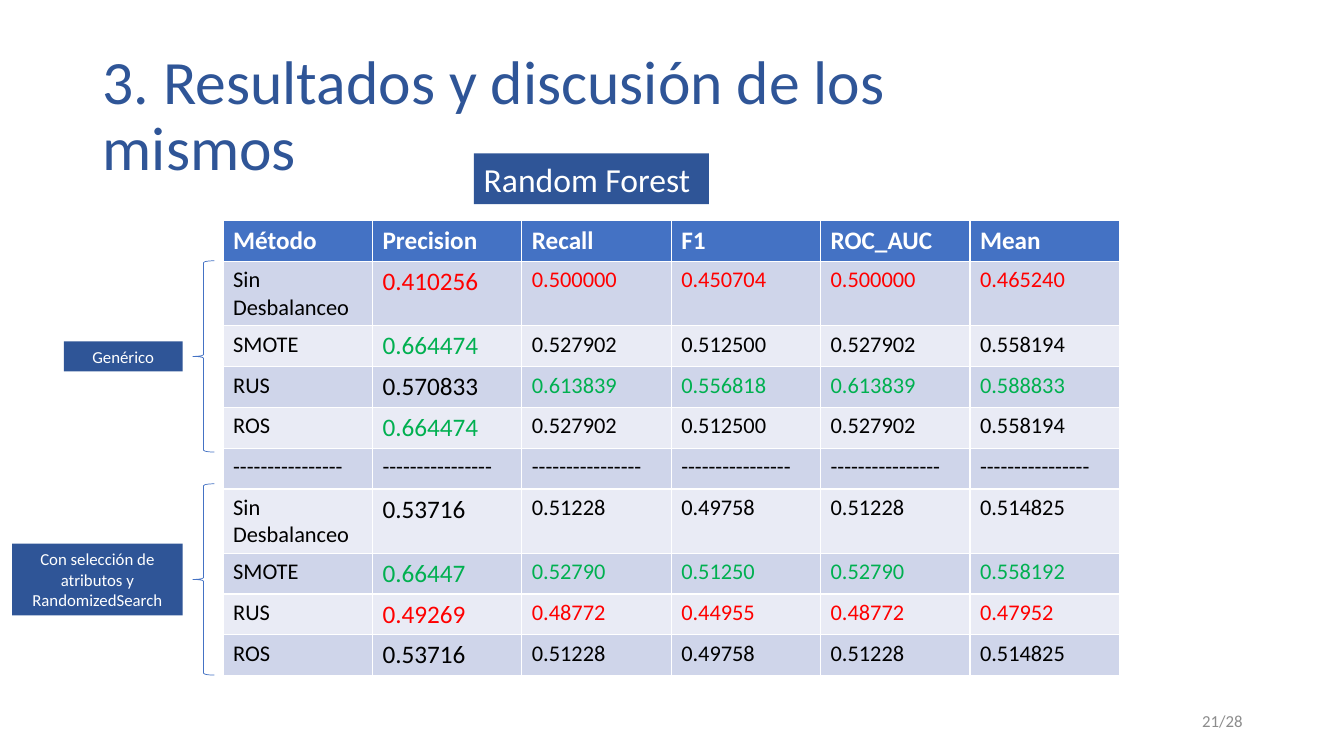
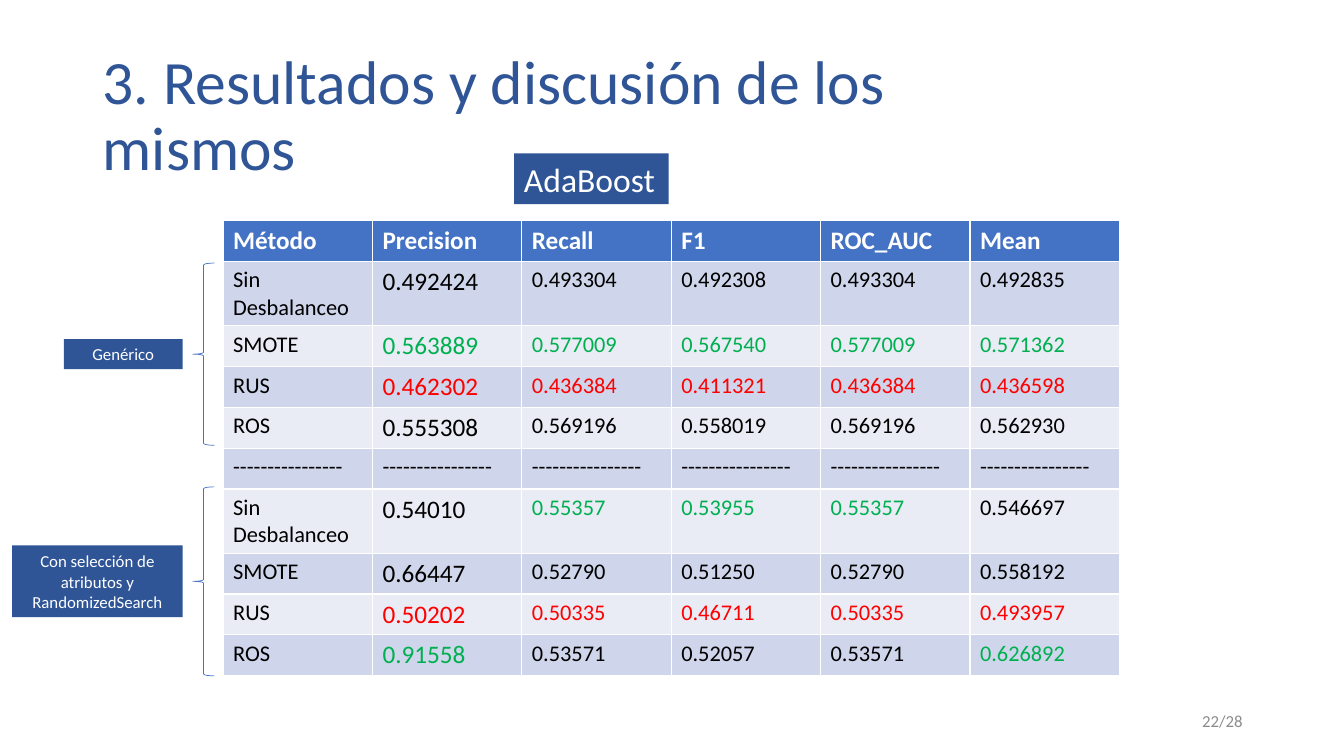
"""Builds two slides that compare classifier metrics under several resampling methods."""
from pptx import Presentation
from pptx.dml.color import RGBColor
from pptx.enum.shapes import MSO_SHAPE
from pptx.enum.text import MSO_ANCHOR, MSO_AUTO_SIZE, PP_ALIGN
from pptx.util import Inches, Pt

HEADINGS = ("Método", "Precision", "Recall", "F1", "ROC_AUC", "Mean")
DASHES = "-" * 16
SEPARATOR = (DASHES, " ".join([DASHES] * 5), "nnnnn")
MARKS = {"n": "000000", "r": "FF0000", "g": "00B050"}
GROUPS = (("Genérico", 8.85, 4), ("Con selección de atributos y RandomizedSearch", 12.7, 9.5))

RESULTS = (
    {
        "model": "Random Forest", "width": 17.5, "number": "21/28",
        "braces": ((34.5, 25.3), (64, 25.3)),
        "rows": (
            ("Sin Desbalanceo", "0.410256 0.500000 0.450704 0.500000 0.465240", "rrrrr"),
            ("SMOTE", "0.664474 0.527902 0.512500 0.527902 0.558194", "gnnnn"),
            ("RUS", "0.570833 0.613839 0.556818 0.613839 0.588833", "ngggg"),
            ("ROS", "0.664474 0.527902 0.512500 0.527902 0.558194", "gnnnn"),
            SEPARATOR,
            ("Sin Desbalanceo", "0.53716 0.51228 0.49758 0.51228 0.514825", "nnnnn"),
            ("SMOTE", "0.66447 0.52790 0.51250 0.52790 0.558192", "ggggg"),
            ("RUS", "0.49269 0.48772 0.44955 0.48772 0.47952", "rrrrr"),
            ("ROS", "0.53716 0.51228 0.49758 0.51228 0.514825", "nnnnn"),
        ),
    },
    {
        "model": "AdaBoost", "width": 11.5, "number": "22/28",
        "braces": ((34.8, 24.1), (64.4, 25)),
        "rows": (
            ("Sin Desbalanceo", "0.492424 0.493304 0.492308 0.493304 0.492835", "nnnnn"),
            ("SMOTE", "0.563889 0.577009 0.567540 0.577009 0.571362", "ggggg"),
            ("RUS", "0.462302 0.436384 0.411321 0.436384 0.436598", "rrrrr"),
            ("ROS", "0.555308 0.569196 0.558019 0.569196 0.562930", "nnnnn"),
            SEPARATOR,
            ("Sin Desbalanceo", "0.54010 0.55357 0.53955 0.55357 0.546697", "ngggn"),
            ("SMOTE", "0.66447 0.52790 0.51250 0.52790 0.558192", "nnnnn"),
            ("RUS", "0.50202 0.50335 0.46711 0.50335 0.493957", "rrrrr"),
            ("ROS", "0.91558 0.53571 0.52057 0.53571 0.626892", "gnnng"),
        ),
    },
)


def color(value):
    """Turn a hex string into a colour."""
    return RGBColor.from_string(value)


class ResultDeck:
    """Hold the style and current slide; lengths are percentages of the slide."""

    font = "Calibri"
    dark = "2F5597"
    accent = "4472C4"
    bands = ("E9EBF5", "CFD5EA")

    def __init__(self):
        """Start an empty widescreen presentation."""
        self.presentation = Presentation()
        self.presentation.slide_width = Inches(13.33)
        self.presentation.slide_height = Inches(7.5)
        self.slide = None

    def across(self, share):
        """Return a share of the slide width."""
        return int(self.presentation.slide_width * share / 100)

    def down(self, share):
        """Return a share of the slide height."""
        return int(self.presentation.slide_height * share / 100)

    def box(self, left, top, width, height):
        """Return a rectangle in slide units."""
        return self.across(left), self.down(top), self.across(width), self.down(height)

    def set_text(self, frame, text, size, fill, align=PP_ALIGN.LEFT, bold=False):
        """Put one formatted paragraph into a text frame and return it."""
        frame.text = text
        frame.word_wrap = True
        paragraph = frame.paragraphs[0]
        paragraph.alignment = align
        for run in paragraph.runs:
            run.font.name = self.font
            run.font.size = Pt(size)
            run.font.bold = bold
            run.font.color.rgb = color(fill)
        return paragraph

    def start(self, title):
        """Add a slide with its title."""
        self.slide = self.presentation.slides.add_slide(self.presentation.slide_layouts[5])
        shape = self.slide.shapes.title
        shape.left, shape.top, shape.width, shape.height = self.box(6.9, 5.3, 74.3, 20.5)
        frame = shape.text_frame
        frame.vertical_anchor = MSO_ANCHOR.MIDDLE
        frame.auto_size = MSO_AUTO_SIZE.NONE
        self.set_text(frame, title, 44, self.dark).line_spacing = 0.9

    def number(self, text):
        """Add the page number."""
        frame = self.slide.shapes.add_textbox(*self.box(70.7, 92.7, 22.5, 5.3)).text_frame
        frame.vertical_anchor = MSO_ANCHOR.MIDDLE
        self.set_text(frame, text, 12, "8C8C8C", PP_ALIGN.RIGHT)

    def label(self, text, left, top, width, height, size, align=PP_ALIGN.CENTER):
        """Add a dark filled label."""
        shape = self.slide.shapes.add_shape(MSO_SHAPE.RECTANGLE, *self.box(left, top, width, height))
        shape.shadow.inherit = False
        shape.fill.solid()
        shape.fill.fore_color.rgb = color(self.dark)
        shape.line.fill.background()
        self.set_text(shape.text_frame, text, size, "FFFFFF", align)

    def group(self, text, width, height, brace_top, brace_height):
        """Add a brace beside the table with its label centred on it."""
        shape = self.slide.shapes.add_shape(
            MSO_SHAPE.LEFT_BRACE, *self.box(14.35, brace_top, 1.6, brace_height))
        shape.shadow.inherit = False
        shape.fill.background()
        shape.line.color.rgb = color(self.accent)
        shape.line.width = Pt(0.5)
        self.label(text, 13.6 - width, brace_top + (brace_height - height) / 2, width, height, 12)

    def cell(self, cell, text, size, fill, background, bold=False):
        """Fill one table cell and set its text."""
        cell.fill.solid()
        cell.fill.fore_color.rgb = color(background)
        self.set_text(cell.text_frame, text, size, fill, bold=bold)

    def table(self, rows):
        """Add the metrics table, with taller rows for two-line names."""
        left, top, width, height = self.box(16.6, 29.2, 66.7, 60.2)
        table = self.slide.shapes.add_table(
            len(rows) + 1, len(HEADINGS), left, top, width, height).table
        for column in table.columns:
            column.width = width // len(HEADINGS)
        tall = self.down(8.5)
        names = [HEADINGS[0]] + [name for name, values, marks in rows]
        tall_count = sum(" " in name for name in names)
        short = (height - tall * tall_count) // (len(names) - tall_count)
        for row, name in zip(table.rows, names):
            row.height = tall if " " in name else short
        for index, heading in enumerate(HEADINGS):
            self.cell(table.cell(0, index), heading, 18, "FFFFFF", self.accent, True)
        for row_index, (name, values, marks) in enumerate(rows, 1):
            background = self.bands[row_index % 2]
            texts = [name] + values.split()
            for index, (text, mark) in enumerate(zip(texts, "n" + marks)):
                size = 18 if index == 1 and text != DASHES else 16
                self.cell(table.cell(row_index, index), text, size, MARKS[mark], background)


def main():
    """Build and save the slides."""
    deck = ResultDeck()
    for result in RESULTS:
        deck.start("3. Resultados y discusión de los mismos")
        deck.number(result["number"])
        deck.table(result["rows"])
        for group, brace in zip(GROUPS, result["braces"]):
            deck.group(*group, *brace)
        width = result["width"]
        deck.label(result["model"], 44 - width / 2, 20.3, width, 6.7, 24, PP_ALIGN.LEFT)
    deck.presentation.save("out.pptx")


if __name__ == "__main__":
    main()
